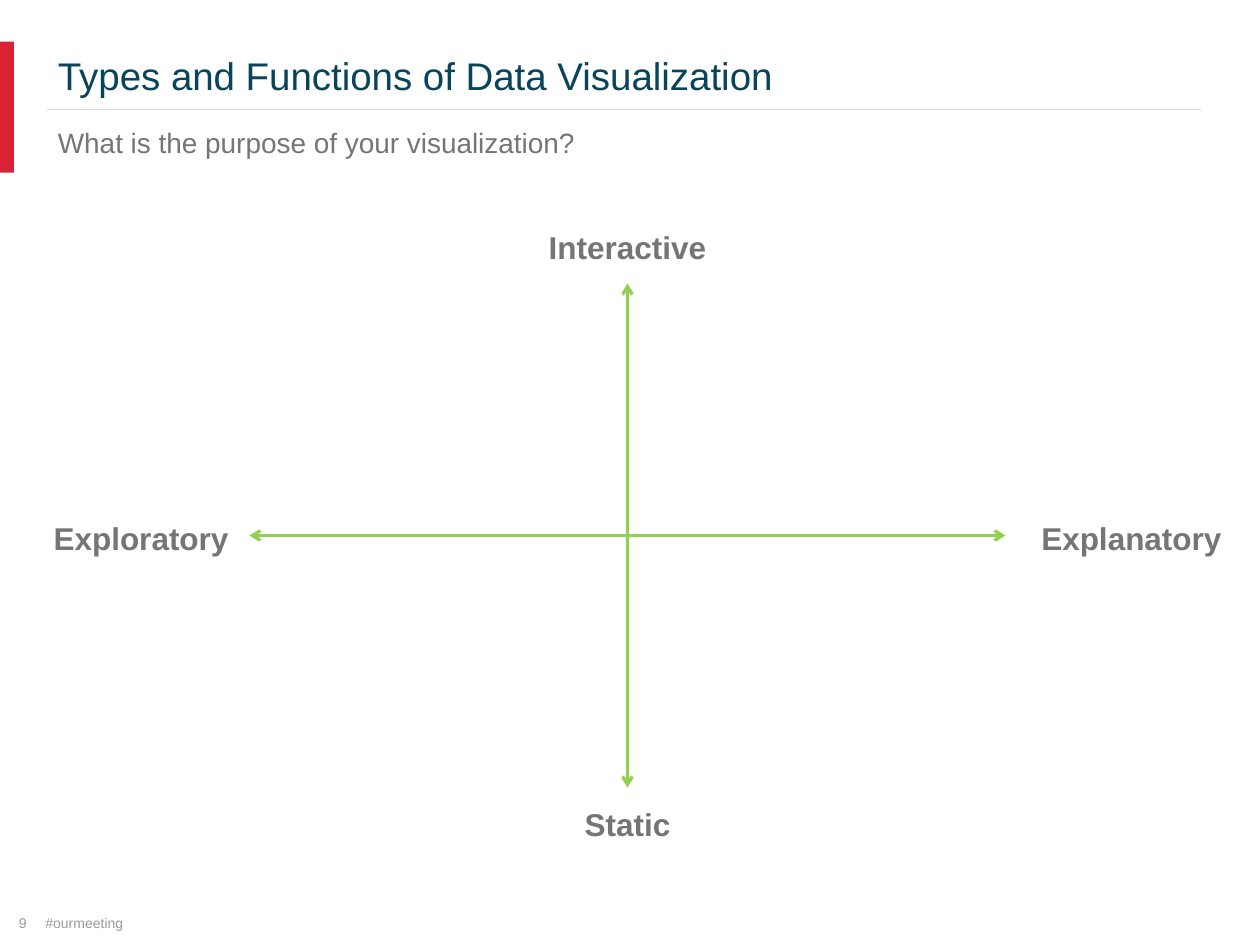
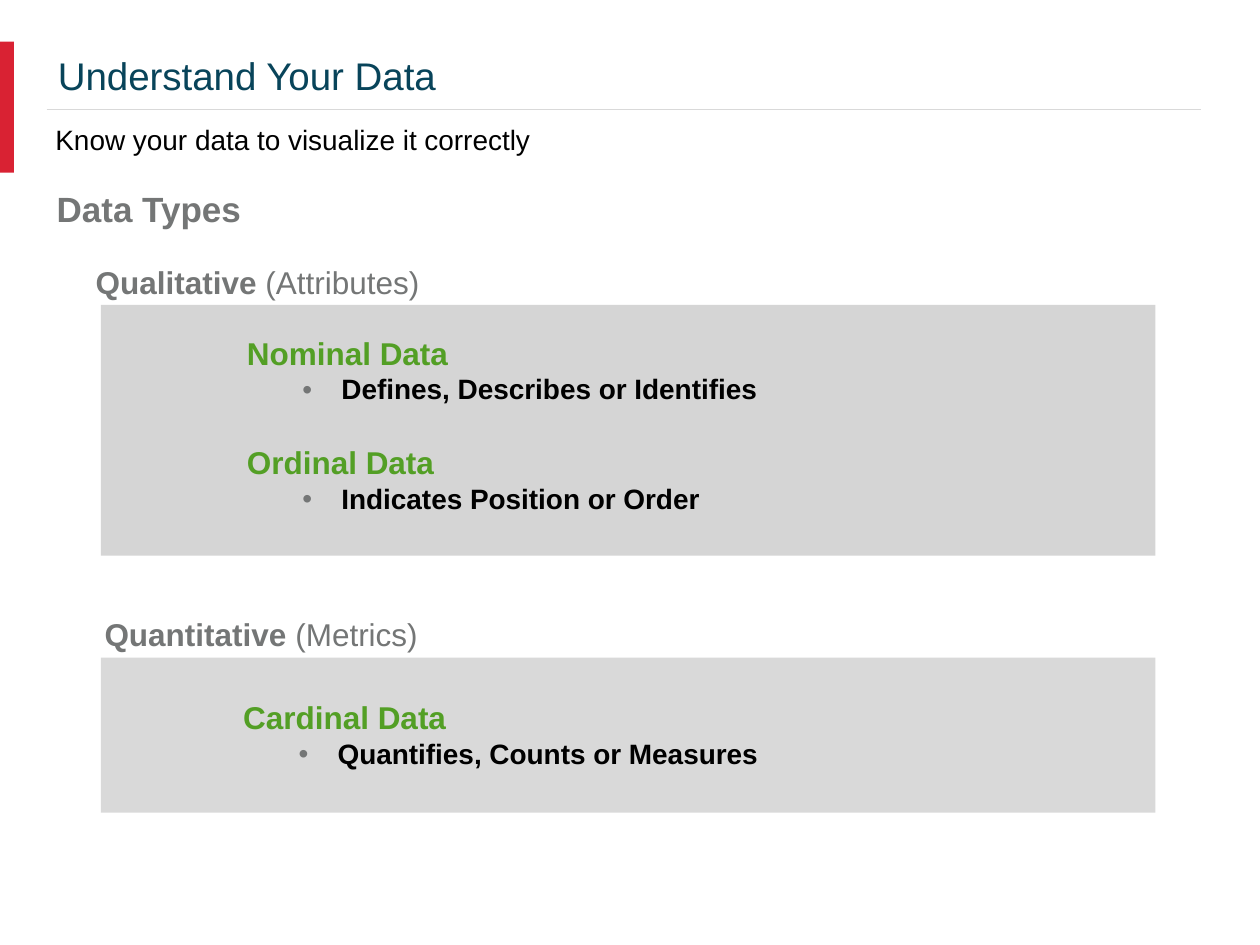
import lxml.etree
import pptx
import pptx.dml.color
import pptx.enum.shapes
import pptx.enum.text
import pptx.oxml.ns
import pptx.util

Inches = pptx.util.Inches
Pt = pptx.util.Pt
ALIGN = pptx.enum.text.PP_ALIGN

FONT = "Arial"
COLORS = {
    "title": "08445A",
    "gray": "747676",
    "black": "000000",
    "footer": "999999",
    "rule": "D9D9D9",
    "band": "D92233",
    "axis": "92D050",
    "term": "539F25",
    "panel_dark": "D5D5D5",
    "panel_light": "D9D9D9",
}


def rgb(name):
    return pptx.dml.color.RGBColor.from_string(COLORS[name])


def add_xml(parent, tag, **attributes):
    return lxml.etree.SubElement(parent, pptx.oxml.ns.qn(tag), attributes)


def style(font, size, color, bold=False):
    font.name = FONT
    font.size = Pt(size)
    font.bold = bold
    font.color.rgb = rgb(color)


def prepare_frame(frame):
    frame.word_wrap = True
    frame.vertical_anchor = pptx.enum.text.MSO_ANCHOR.TOP
    frame.margin_left = frame.margin_right = 0
    frame.margin_top = frame.margin_bottom = 0


def add_text(page, left, top, width, spans, size, color, align=ALIGN.LEFT):
    """One line of text; spans is a list of (text, bold)."""
    box = page.shapes.add_textbox(Inches(left), Inches(top), Inches(width), Inches(size / 64))
    prepare_frame(box.text_frame)
    para = box.text_frame.paragraphs[0]
    para.alignment = align
    para.line_spacing = Pt(round(size * 1.075, 1))
    for text, bold in spans:
        span = para.add_run()
        span.text = text
        style(span.font, size, color, bold)


def add_rectangle(page, left, top, width, height, color):
    rectangle = page.shapes.add_shape(
        pptx.enum.shapes.MSO_SHAPE.RECTANGLE,
        Inches(left), Inches(top), Inches(width), Inches(height))
    rectangle.shadow.inherit = False
    rectangle.fill.solid()
    rectangle.fill.fore_color.rgb = rgb(color)
    rectangle.line.fill.background()
    return rectangle


def add_line(page, start, end, color, width, arrows=False):
    line = page.shapes.add_connector(
        pptx.enum.shapes.MSO_CONNECTOR.STRAIGHT,
        *(Inches(value) for value in (*start, *end)))
    line.line.color.rgb = rgb(color)
    line.line.width = Pt(width)
    if arrows:
        outline = line.line._get_or_add_ln()
        for tag in ("a:headEnd", "a:tailEnd"):
            add_xml(outline, tag, type="arrow", w="med", len="med")
    add_xml(line._element.spPr, "a:effectLst")


def add_page(deck, title):
    """Blank page with the shared rule, side band and title."""
    page = deck.slides.add_slide(deck.slide_layouts[6])
    add_line(page, (0.37, 0.87), (9.53, 0.87), "rule", 0.5)
    add_rectangle(page, 0, 0.33, 0.11, 1.04, "band")
    add_text(page, 0.46, 0.45, 9, [(title, False)], 22, "title")
    return page


def add_footer(page, number, hashtag):
    for left, width, text in ((0.15, 0.2, number), (0.36, 1.5, hashtag)):
        add_text(page, left, 7.27, width, [(text, False)], 8, "footer")


def add_axes(page, left, top, width, height):
    """Crossed double arrows with a label beyond each end."""
    middle_x, middle_y = left + width / 2, top + height / 2
    add_line(page, (left, middle_y), (left + width, middle_y), "axis", 1.75, arrows=True)
    add_line(page, (middle_x, top), (middle_x, top + height), "axis", 1.75, arrows=True)

    label_width = 1.6
    labels = (
        ("Interactive", middle_x, top - 0.41),
        ("Exploratory", left - 0.86, middle_y - 0.1),
        ("Explanatory", left + width + 1, middle_y - 0.1),
        ("Static", middle_x, top + height + 0.17),
    )
    for text, center, label_top in labels:
        add_text(page, center - label_width / 2, label_top, label_width,
                 [(text, True)], 18, "gray", ALIGN.CENTER)


def add_data_panel(page, left, top, width, height, color, inset, indent, terms):
    """Filled panel listing each data term with its bulleted meaning."""
    panel = add_rectangle(page, left, top, width, height, color)
    frame = panel.text_frame
    prepare_frame(frame)
    frame.margin_top = Inches(inset)
    for index, (term, meaning) in enumerate(terms):
        heading = frame.add_paragraph() if index else frame.paragraphs[0]
        heading.text = term
        heading.space_before = Pt(22.5 if index else 0)
        properties = heading._p.get_or_add_pPr()
        properties.set("marL", str(Inches(indent)))
        style(heading.runs[0].font, 18, "term", True)

        detail = frame.add_paragraph()
        detail.text = meaning
        detail.space_before = Pt(0.8)
        properties = detail._p.get_or_add_pPr()
        properties.set("marL", str(Inches(indent + 0.75)))
        properties.set("indent", str(-Inches(0.31)))
        bullet_color = add_xml(properties, "a:buClr")
        add_xml(bullet_color, "a:srgbClr", val=COLORS["gray"])
        add_xml(properties, "a:buFont", typeface=FONT)
        add_xml(properties, "a:buChar", char="•")
        style(detail.runs[0].font, 16, "black", True)

        for para in (heading, detail):
            para.alignment = ALIGN.LEFT
            para.line_spacing = 0.96


def build_functions_page(deck):
    page = add_page(deck, "Types and Functions of Data Visualization")
    add_text(page, 0.46, 1.02, 9, [("What is the purpose of your visualization?", False)], 16, "gray")
    add_axes(page, 1.98, 2.25, 6, 4)
    add_footer(page, "9", "#ourmeeting")


def build_data_page(deck):
    page = add_page(deck, "Understand Your Data")
    add_text(page, 0.44, 1, 9, [("Know your data to visualize it correctly", False)], 16, "black")
    add_text(page, 0.45, 1.52, 4, [("Data Types", True)], 20, "gray")

    # Qualitative data
    add_text(page, 0.76, 2.12, 5, [("Qualitative ", True), ("(Attributes)", False)], 18, "gray")
    add_data_panel(page, 0.8, 2.42, 8.37, 1.99, "panel_dark", 0.25, 1.16, [
        ("Nominal Data", "Defines, Describes or Identifies"),
        ("Ordinal Data", "Indicates Position or Order"),
    ])

    # Quantitative data
    add_text(page, 0.83, 4.91, 5, [("Quantitative ", True), ("(Metrics)", False)], 18, "gray")
    add_data_panel(page, 0.8, 5.22, 8.37, 1.23, "panel_light", 0.34, 1.13, [
        ("Cardinal Data", "Quantifies, Counts or Measures"),
    ])


def main():
    deck = pptx.Presentation()
    deck.slide_width = Inches(10)
    deck.slide_height = Inches(7.5)
    build_functions_page(deck)
    build_data_page(deck)
    deck.save("out.pptx")


if __name__ == "__main__":
    main()
